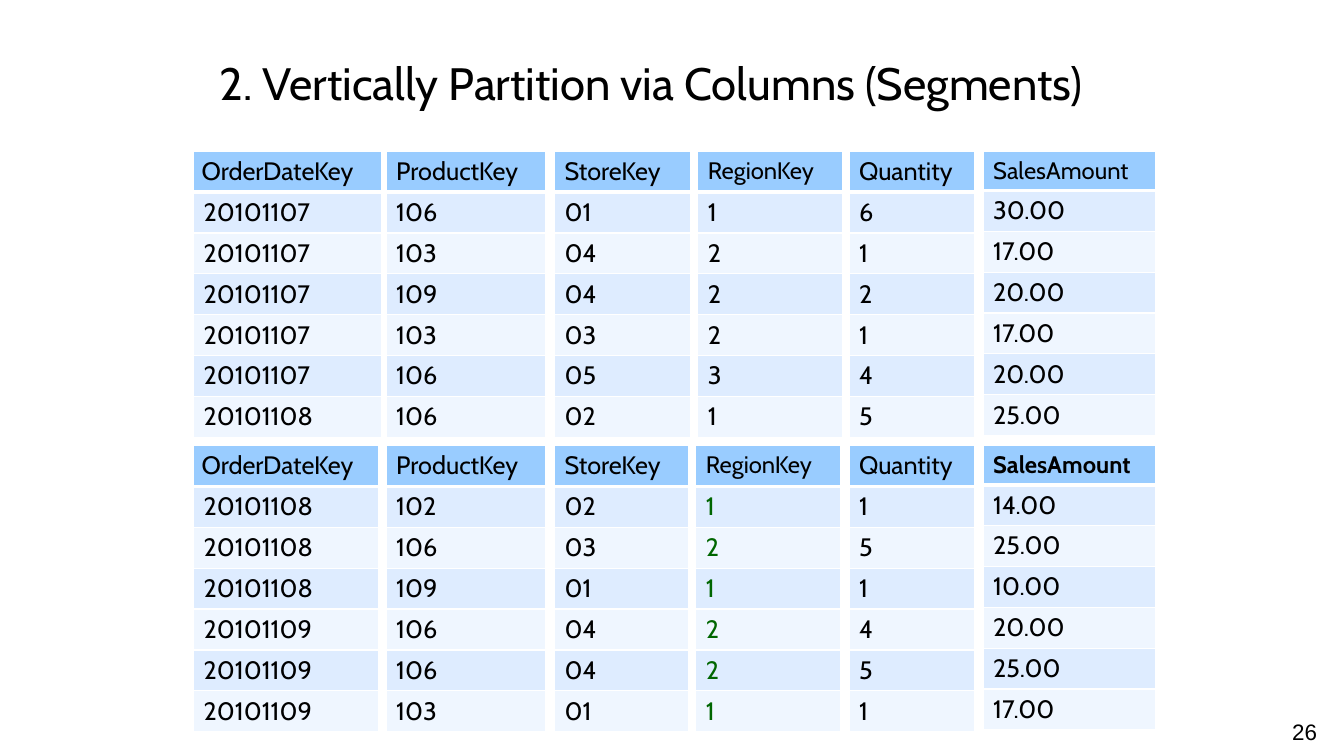
from dataclasses import dataclass

from lxml import etree
from pptx import Presentation
from pptx.dml.color import RGBColor
from pptx.enum.text import MSO_ANCHOR, MSO_AUTO_SIZE, PP_ALIGN
from pptx.oxml.ns import qn
from pptx.util import Inches, Pt

LEFT, RIGHT = PP_ALIGN.LEFT, PP_ALIGN.RIGHT
TOP = MSO_ANCHOR.TOP
NO_AUTOFIT = MSO_AUTO_SIZE.NONE


@dataclass(frozen=True)
class Theme:
    font: str = "Cabin"
    number_font: str = "Arial"
    text: str = "000000"
    highlight: str = "006600"
    border: str = "FFFFFF"
    header_fill: str = "99CCFF"
    band_fills: tuple = ("DEECFF", "EFF6FF")
    title_size: float = 32.4
    body_size: float = 18
    small_header_size: float = 17
    number_size: float = 16
    border_width: float = 1
    header_border_width: float = 3


@dataclass(frozen=True)
class Column:
    header: str
    left: float
    width: float
    values: str
    header_height: float = 2.84 / 7
    small_header: bool = False
    bold_header: bool = False
    highlighted: bool = False
    header_inset: float = 0.1


SEGMENTS = {
    1.5: (
        Column("OrderDateKey", 1.92, 1.86,
               "20101107 20101107 20101107 20101107 20101107 20101108", header_inset=0.08),
        Column("ProductKey", 3.83, 1.58, "106 103 109 103 106 106"),
        Column("StoreKey", 5.5, 1.35, "01 04 04 03 05 02"),
        Column("RegionKey", 6.92, 1.44, "1 2 2 2 3 1", small_header=True),
        Column("Quantity", 8.42, 1.25, "6 1 2 1 4 5", 0.29),
        Column("SalesAmount", 9.75, 1.71, "30.00 17.00 20.00 17.00 20.00 25.00", 0.33,
               small_header=True),
    ),
    4.42: (
        Column("OrderDateKey", 1.92, 1.83,
               "20101108 20101108 20101108 20101109 20101109 20101109", header_inset=0.08),
        Column("ProductKey", 3.83, 1.58, "102 106 109 106 106 103"),
        Column("StoreKey", 5.5, 1.33, "02 03 01 04 04 01"),
        Column("RegionKey", 6.9, 1.44, "1 2 1 2 2 1", small_header=True, highlighted=True),
        Column("Quantity", 8.42, 1.25, "1 5 1 4 5 1", 0.29),
        Column("SalesAmount", 9.75, 1.71, "14.00 25.00 10.00 20.00 25.00 17.00", 0.33,
               small_header=True, bold_header=True),
    ),
}
ROW_HEIGHT = 2.84 / 7


class SlideBuilder:
    def __init__(self, slide, theme):
        self.slide = slide
        self.theme = theme

    def style(self, paragraph, size, color=None, font=None, bold=False):
        paragraph.font.name = font or self.theme.font
        paragraph.font.size = Pt(size)
        paragraph.font.bold = bold
        paragraph.font.color.rgb = RGBColor.from_string(color or self.theme.text)

    def title(self, text, left, top, width, height):
        title = self.slide.shapes.title
        title.left, title.top = Inches(left), Inches(top)
        title.width, title.height = Inches(width), Inches(height)
        frame = title.text_frame
        frame.text = text
        frame.auto_size = NO_AUTOFIT
        frame.vertical_anchor = TOP
        paragraph = frame.paragraphs[0]
        paragraph.alignment = LEFT
        self.style(paragraph, self.theme.title_size)

    def page_number(self, text, left, top, width, height):
        box = self.slide.shapes.add_textbox(
            Inches(left), Inches(top), Inches(width), Inches(height))
        frame = box.text_frame
        frame.word_wrap = True
        frame.text = text
        paragraph = frame.paragraphs[0]
        paragraph.alignment = RIGHT
        self.style(paragraph, self.theme.number_size, font=self.theme.number_font)

    def borders(self, cell, bottom_width):
        properties = cell._tc.get_or_add_tcPr()
        for side in ("lnL", "lnR", "lnT", "lnB"):
            width = bottom_width if side == "lnB" else self.theme.border_width
            line = etree.SubElement(properties, qn(f"a:{side}"), w=str(Pt(width)))
            fill = etree.SubElement(line, qn("a:solidFill"))
            etree.SubElement(fill, qn("a:srgbClr"), val=self.theme.border)

    def cell(self, cell, text, fill, size, color, bold, bottom_width):
        cell.text = text
        self.style(cell.text_frame.paragraphs[0], size, color, bold=bold)
        self.borders(cell, bottom_width)
        cell.fill.solid()
        cell.fill.fore_color.rgb = RGBColor.from_string(fill)

    def column_table(self, column, top):
        theme = self.theme
        values = column.values.split()
        height = column.header_height + len(values) * ROW_HEIGHT
        table = self.slide.shapes.add_table(
            len(values) + 1, 1, Inches(column.left), Inches(top),
            Inches(column.width), Inches(height)).table
        table.horz_banding = False
        header_size = theme.small_header_size if column.small_header else theme.body_size
        header = table.cell(0, 0)
        self.cell(header, column.header, theme.header_fill, header_size, theme.text,
                  column.bold_header, theme.header_border_width)
        header.margin_left = header.margin_right = Inches(column.header_inset)
        table.rows[0].height = Inches(column.header_height)
        value_color = theme.highlight if column.highlighted else theme.text
        for row, value in enumerate(values, start=1):
            table.rows[row].height = Inches(ROW_HEIGHT)
            self.cell(table.cell(row, 0), value, theme.band_fills[(row - 1) % 2],
                      theme.body_size, value_color, False, theme.border_width)


def main():
    presentation = Presentation()
    presentation.slide_width = Inches(13.33)
    presentation.slide_height = Inches(7.5)
    slide = presentation.slides.add_slide(presentation.slide_layouts[5])
    builder = SlideBuilder(slide, Theme())
    builder.title("2. Vertically Partition via Columns (Segments)", 2.08, 0.5, 9.36, 0.83)
    for top, columns in SEGMENTS.items():
        for column in columns:
            builder.column_table(column, top)
    builder.page_number("26", 12.58, 7.08, 0.58, 0.33)
    presentation.save("out.pptx")


if __name__ == "__main__":
    main()
